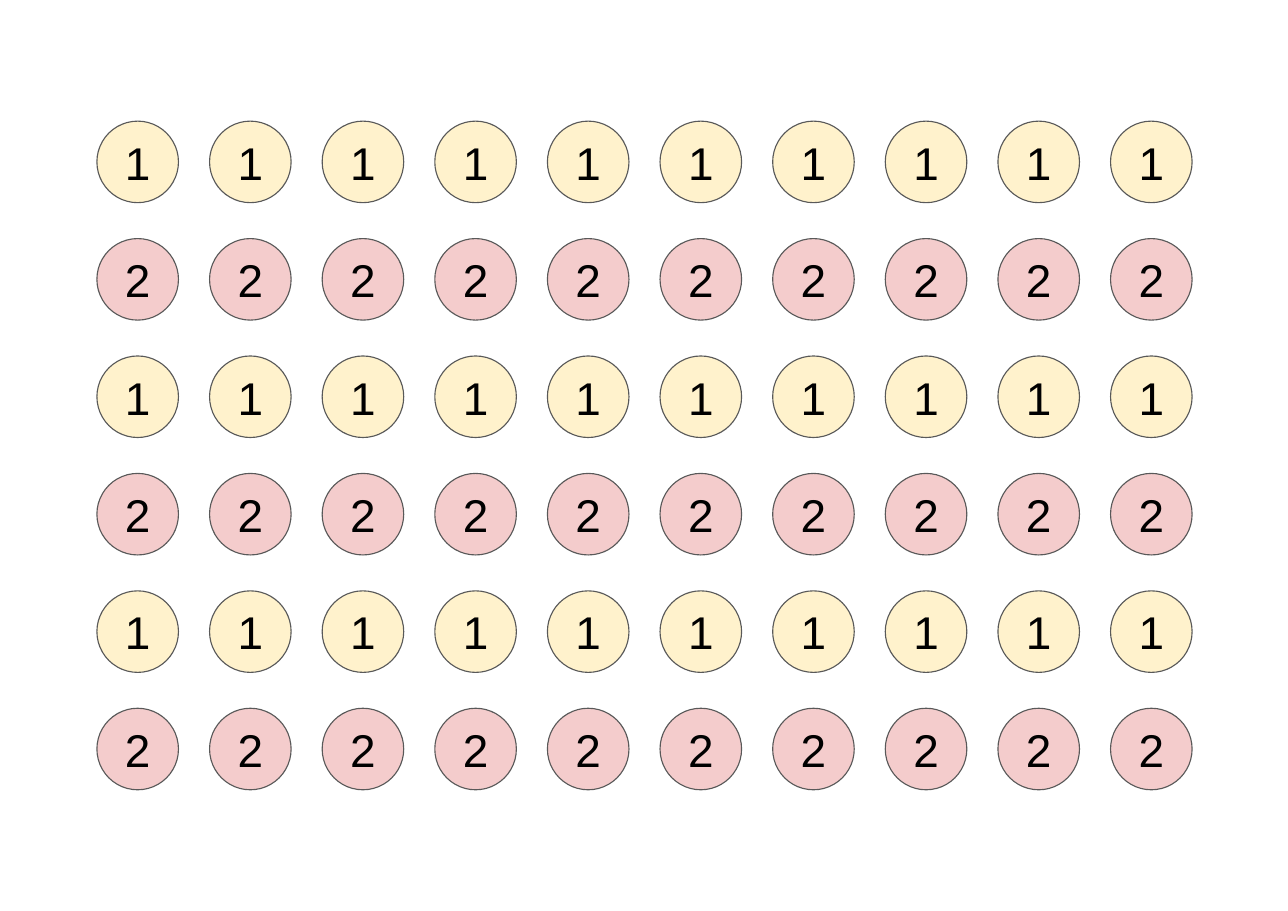
from pptx import Presentation
from pptx.dml.color import RGBColor
from pptx.enum.shapes import MSO_SHAPE
from pptx.enum.text import MSO_ANCHOR, PP_ALIGN
from pptx.util import Inches, Pt

OVAL = MSO_SHAPE.OVAL
MIDDLE = MSO_ANCHOR.MIDDLE
CENTER = PP_ALIGN.CENTER
BLANK_LAYOUT = 6

COLORS = {"1": "FFF2CC", "2": "F4CCCC", "outline": "595959", "text": "000000"}

# Grid of counters, in inches
PAGE_WIDTH, PAGE_HEIGHT = 11.69, 8.27
COLUMNS, ROWS = 10, 6
DIAMETER = 0.74
FIRST_LEFT, LAST_LEFT = 0.88, 10.08
FIRST_TOP, LAST_TOP = 1.1, 6.43
COLUMN_STEP = (LAST_LEFT - FIRST_LEFT) / (COLUMNS - 1)
ROW_STEP = (LAST_TOP - FIRST_TOP) / (ROWS - 1)

FRAME_FORMAT = {
    "margin_left": Inches(0.1),
    "margin_right": Inches(0.1),
    "margin_top": Inches(0.1),
    "margin_bottom": Inches(0.1),
    "vertical_anchor": MIDDLE,
    "word_wrap": True,
}
FONT_FORMAT = {"name": "Arial", "size": Pt(30)}


def color(name):
    return RGBColor.from_string(COLORS[name])


def apply_format(target, values):
    for name, value in values.items():
        setattr(target, name, value)


def add_counter(page, column, row, digit):
    """Add one numbered circle at a grid position."""
    left = Inches(FIRST_LEFT + column * COLUMN_STEP)
    top = Inches(FIRST_TOP + row * ROW_STEP)
    counter = page.shapes.add_shape(
        OVAL, left, top, Inches(DIAMETER), Inches(DIAMETER))
    counter.shadow.inherit = False
    counter.fill.solid()
    counter.fill.fore_color.rgb = color(digit)
    counter.line.color.rgb = color("outline")
    counter.line.width = Pt(0.75)

    # Centred digit
    apply_format(counter.text_frame, FRAME_FORMAT)
    para = counter.text_frame.paragraphs[0]
    para.alignment = CENTER
    span = para.add_run()
    span.text = digit
    apply_format(span.font, FONT_FORMAT)
    span.font.color.rgb = color("text")


def main():
    deck = Presentation()
    deck.slide_width = Inches(PAGE_WIDTH)
    deck.slide_height = Inches(PAGE_HEIGHT)
    page = deck.slides.add_slide(deck.slide_layouts[BLANK_LAYOUT])

    # Rows alternate between ones and twos
    for row in range(ROWS):
        digit = "12"[row % 2]
        for column in range(COLUMNS):
            add_counter(page, column, row, digit)

    deck.save("out.pptx")


if __name__ == "__main__":
    main()
